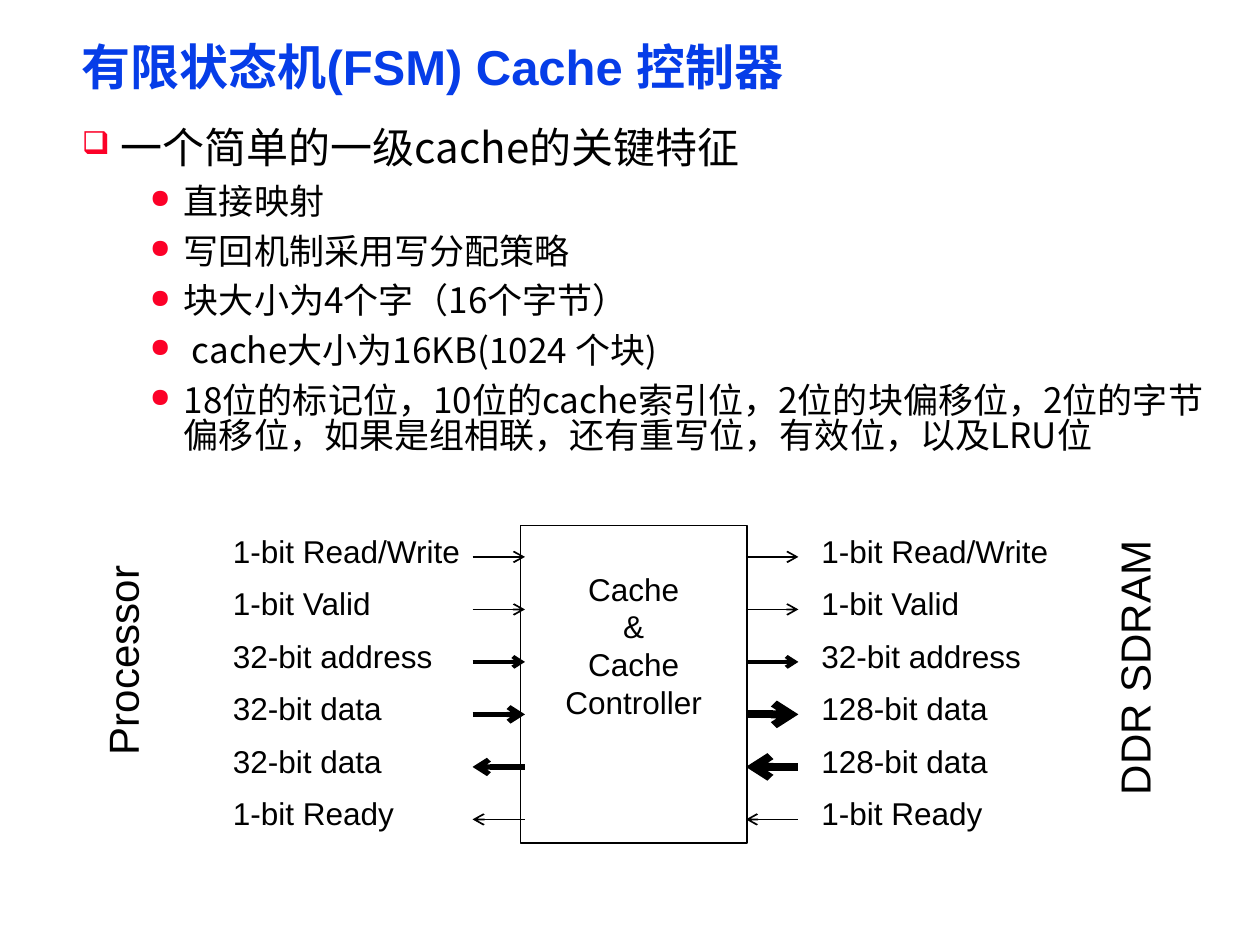
"""Build a slide on the features and signals of a simple cache controller."""
from lxml.etree import SubElement
from pptx import Presentation
from pptx.dml.color import RGBColor
from pptx.enum.shapes import MSO_CONNECTOR, MSO_SHAPE
from pptx.enum.text import MSO_ANCHOR, PP_ALIGN
from pptx.oxml.ns import qn
from pptx.util import Inches, Pt

HUES = {"title": "063DE8", "mark": "FC0128", "ink": "000000"}
SANS, HAN = "Arial", "Noto Sans CJK SC"
STEP = 5 / 12
HEAD = "一个简单的一级cache的关键特征"
ITEMS = [
    "直接映射",
    "写回机制采用写分配策略",
    "块大小为4个字（16个字节）",
    " cache大小为16KB(1024 个块)",
    "18位的标记位，10位的cache索引位，2位的块偏移位，2位的字节偏移位，"
    "如果是组相联，还有重写位，有效位，以及LRU位",
]
WIDTHS = {
    "1-bit Read/Write": 2.02, "1-bit Valid": 1.31, "32-bit address": 1.8,
    "32-bit data": 1.39, "128-bit data": 1.53, "1-bit Ready": 1.49,
}
SIDES = [(1.75, 3.75, "32-bit data", 3), (6.42, 5.92, "128-bit data", 4.5)]


def hue(name):
    """Return a named colour."""
    return RGBColor.from_string(HUES[name])


def write(para, text, size, font=SANS, color="ink", bold=False):
    """Add one styled run to a paragraph."""
    run = para.add_run()
    run.text = text
    run.font.size, run.font.bold = Pt(size), bold
    run.font.name = font
    run.font.color.rgb = hue(color)
    SubElement(run.font._element, qn("a:ea"), typeface=HAN)


def pad(frame, side, top):
    """Set the insets of a text frame."""
    frame.margin_left = frame.margin_right = Inches(side)
    frame.margin_top = frame.margin_bottom = Inches(top)


def add_title(slide):
    """Place and fill the title."""
    title = slide.shapes.title
    title.left, title.top = Inches(0.58), Inches(0.33)
    title.width, title.height = Inches(8.92), Inches(0.46)
    frame = title.text_frame
    pad(frame, 0.07, 0.03)
    frame.vertical_anchor = MSO_ANCHOR.MIDDLE
    para = frame.paragraphs[0]
    para.alignment, para.line_spacing = PP_ALIGN.LEFT, 0.87
    write(para, "有限状态机(FSM) Cache 控制器", 28, color="title", bold=True)


def add_mark(para, char, left, hang):
    """Give a paragraph a hanging bullet."""
    props = para._p.get_or_add_pPr()
    props.set("marL", str(Inches(left)))
    props.set("indent", str(-Inches(hang)))
    tint = SubElement(props, qn("a:buClr"))
    SubElement(tint, qn("a:srgbClr"), val=HUES["mark"])
    SubElement(props, qn("a:buSzPct"), val="75000")
    SubElement(props, qn("a:buChar"), char=char)


def add_list(slide):
    """Add the heading and its bulleted features."""
    box = slide.shapes.add_textbox(
        Inches(0.58), Inches(1), Inches(9.08), Inches(2.81))
    frame = box.text_frame
    frame.word_wrap = True
    pad(frame, 0.07, 0.03)
    para = frame.paragraphs[0]
    add_mark(para, "❑", 0.31, 0.31)
    para.line_spacing = Pt(24)
    write(para, HEAD, 24, HAN)
    for item in ITEMS:
        para = frame.add_paragraph()
        para.level = 1
        add_mark(para, "●", 0.81, 0.27)
        para.line_spacing, para.space_before = Pt(20), Pt(8.4)
        write(para, item, 20, HAN)


def add_label(slide, text, left, top, width, height=0.4, size=18, turn=0):
    """Add a one-line label, turned if asked."""
    box = slide.shapes.add_textbox(
        Inches(left), Inches(top), Inches(width), Inches(height))
    box.text_frame.word_wrap = False
    box.rotation = turn
    write(box.text_frame.paragraphs[0], text, size)


def add_block(slide):
    """Add the outlined controller block."""
    block = slide.shapes.add_shape(
        MSO_SHAPE.RECTANGLE, Inches(4.13), Inches(4.17), Inches(1.8), Inches(2.52))
    block.shadow.inherit = False
    block.fill.background()
    block.line.color.rgb, block.line.width = hue("ink"), Pt(0.75)
    frame = block.text_frame
    frame.vertical_anchor = MSO_ANCHOR.TOP
    frame.margin_top = Inches(0.35)
    for i, word in enumerate(["Cache", "&", "Cache", "Controller"]):
        para = frame.add_paragraph() if i else frame.paragraphs[0]
        para.alignment = PP_ALIGN.CENTER
        write(para, word, 18)


def add_arrow(slide, left, top, width, end):
    """Add a short arrow with its point at the given end."""
    line = slide.shapes.add_connector(
        MSO_CONNECTOR.STRAIGHT, Inches(left), Inches(top),
        Inches(left + STEP), Inches(top))
    line.line.color.rgb, line.line.width = hue("ink"), Pt(width)
    SubElement(line.line._get_or_add_ln(), qn(f"a:{end}"), type="arrow")
    SubElement(line._element.spPr, qn("a:effectLst"))


def add_side(slide, left, start, data, thick):
    """Add the signals on one side of the block."""
    rows = [
        ("1-bit Read/Write", 1, "tailEnd"), ("1-bit Valid", 1, "tailEnd"),
        ("32-bit address", 2.25, "tailEnd"), (data, thick, "tailEnd"),
        (data, thick, "headEnd"), ("1-bit Ready", 1, "headEnd"),
    ]
    for i, (text, width, end) in enumerate(rows):
        top = 4.17 + i * STEP
        add_label(slide, text, left, top, WIDTHS[text])
        add_arrow(slide, start, top + 0.25, width, end)


def main():
    """Build and save the slide."""
    deck = Presentation()
    deck.slide_width, deck.slide_height = Inches(10), Inches(7.5)
    slide = deck.slides.add_slide(deck.slide_layouts[5])
    add_title(slide)
    add_list(slide)
    add_block(slide)
    for side in SIDES:
        add_side(slide, *side)
    add_label(slide, "Processor", 0.11, 4.98, 1.72, 0.5, 24, 270)
    add_label(slide, "DDR SDRAM", 7.88, 5.04, 2.24, 0.5, 24, 270)
    deck.save("out.pptx")


if __name__ == "__main__":
    main()
